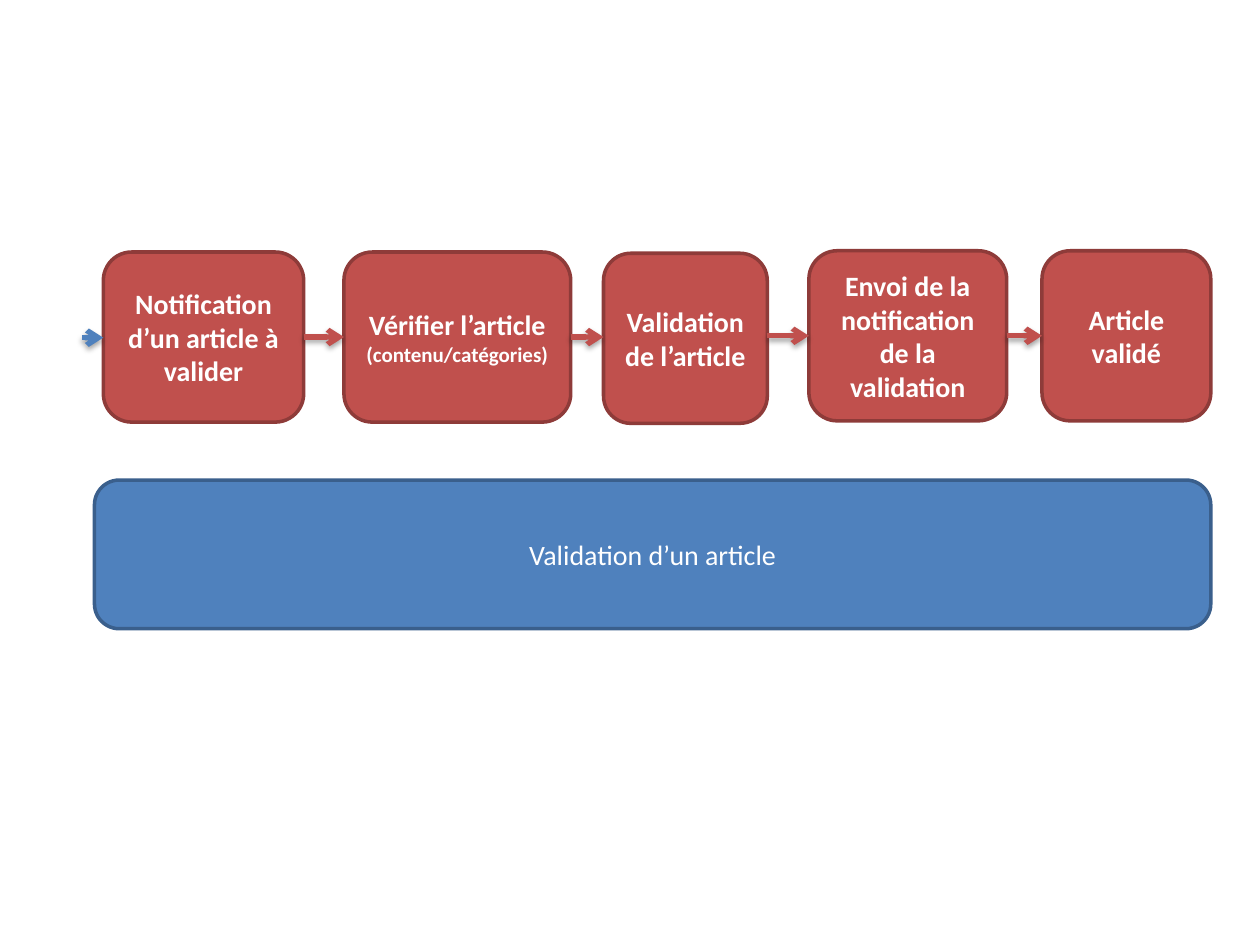
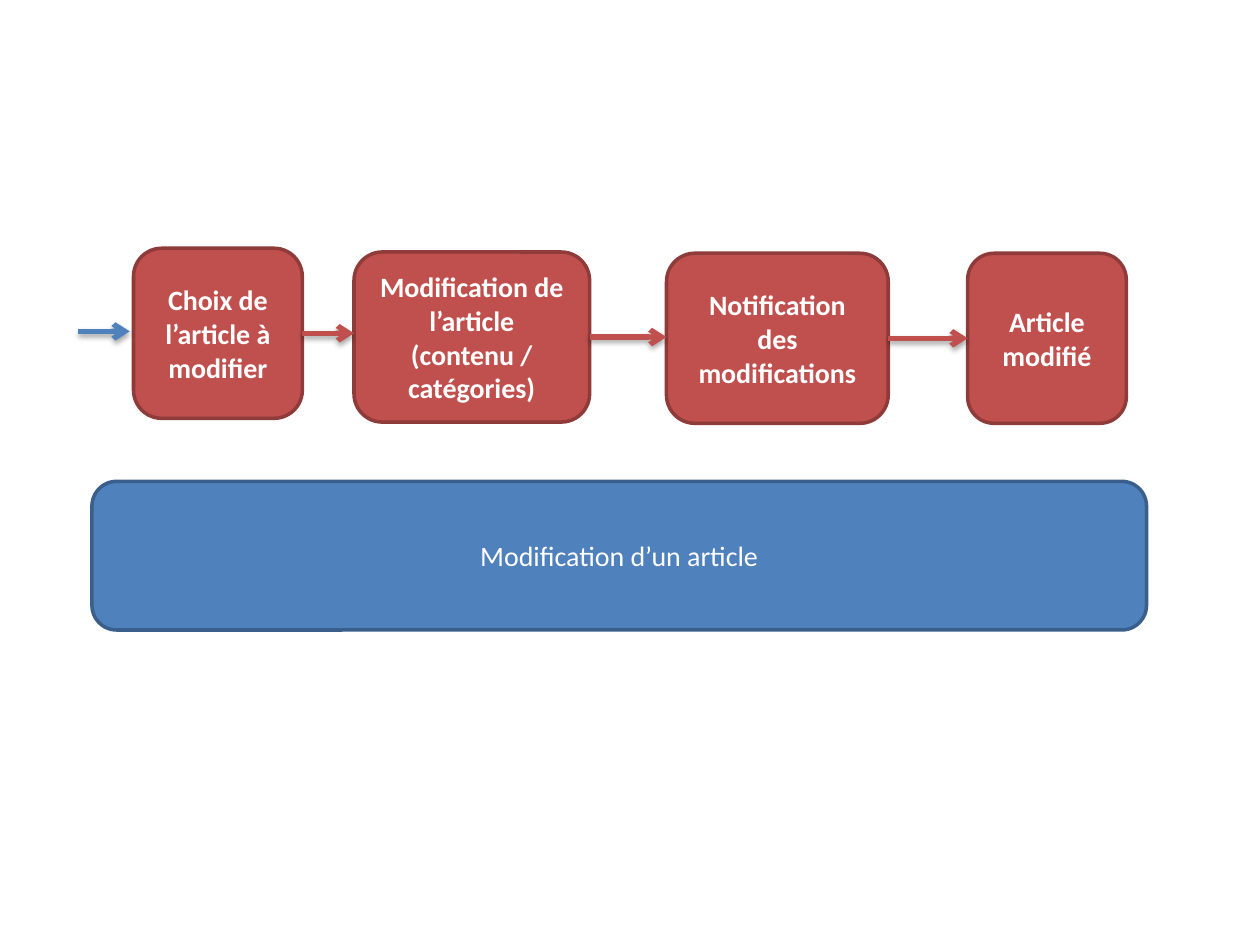
"""Build two process slides: validating and modifying an article."""
from dataclasses import dataclass

from lxml.etree import SubElement
from pptx import Presentation
from pptx.dml.color import RGBColor
from pptx.enum.shapes import MSO_CONNECTOR, MSO_SHAPE
from pptx.enum.text import MSO_ANCHOR, PP_ALIGN
from pptx.oxml.ns import qn
from pptx.slide import Slide
from pptx.util import Inches, Length, Pt

WIDE, HIGH = 10, 7.5
COLS, ROWS = 100, 75
FONT = "Calibri"
WHITE = "FFFFFF"
RED, WINE = "C0504D", "8E3B39"
BLUE, NAVY = "4F81BD", "3A5F8C"
STEP_ROWS, BAND_ROWS = 13.5, 11.8


@dataclass(frozen=True)
class Line:
    text: str
    size: int = 16


@dataclass(frozen=True)
class Box:
    left: float
    top: float
    width: float
    lines: tuple[Line, ...]

    @property
    def right(self) -> float:
        return self.left + self.width

    @property
    def mid(self) -> float:
        return self.top + STEP_ROWS / 2


@dataclass(frozen=True)
class Entry:
    start: float
    end: float
    row: float


@dataclass(frozen=True)
class Flow:
    entry: Entry
    steps: tuple[Box, ...]
    band: Box


FLOWS = (
    Flow(
        Entry(6.5, 8.2, 26.8),
        (
            Box(8.2, 20, 15.9, (Line("Notification d’un article à valider"),)),
            Box(27.3, 20, 18, (Line("Vérifier l’article"), Line("(contenu/catégories)", 12))),
            Box(47.9, 20.1, 13, (Line("Validation de l’article"),)),
            Box(64.2, 19.9, 15.7, (Line("Envoi de la notification de la validation"),)),
            Box(82.7, 19.9, 13.4, (Line("Article validé"),)),
        ),
        Box(7.5, 38.1, 88.6, (Line("Validation d’un article"),)),
    ),
    Flow(
        Entry(6.2, 10.3, 26.3),
        (
            Box(10.6, 19.7, 13.4, (Line("Choix de l’article à modifier"),)),
            Box(28.1, 20, 18.7, (Line("Modification de l’article"), Line("(contenu / catégories)"))),
            Box(52.9, 20.1, 17.6, (Line("Notification des modifications"),)),
            Box(76.8, 20.1, 12.6, (Line("Article modifié"),)),
        ),
        Box(7.3, 38.2, 83.7, (Line("Modification d’un article"),)),
    ),
)


def tint(code: str) -> RGBColor:
    return RGBColor.from_string(code)


def col(count: float) -> Length:
    return Inches(count * WIDE / COLS)


def row(count: float) -> Length:
    return Inches(count * HIGH / ROWS)


def draw_box(slide: Slide, box: Box, rows: float, fill: str, edge: str, bold: bool) -> None:
    shape = slide.shapes.add_shape(
        MSO_SHAPE.FLOWCHART_ALTERNATE_PROCESS,
        col(box.left), row(box.top), col(box.width), row(rows),
    )
    shape.shadow.inherit = False
    shape.fill.solid()
    shape.fill.fore_color.rgb = tint(fill)
    shape.line.color.rgb = tint(edge)
    shape.line.width = Pt(2)
    frame = shape.text_frame
    frame.word_wrap = True
    frame.vertical_anchor = MSO_ANCHOR.MIDDLE
    for spot, line in enumerate(box.lines):
        para = frame.add_paragraph() if spot else frame.paragraphs[0]
        para.text = line.text
        para.alignment = PP_ALIGN.CENTER
        para.font.name = FONT
        para.font.size = Pt(line.size)
        para.font.bold = bold
        para.font.color.rgb = tint(WHITE)


def draw_arrow(slide: Slide, start: float, end: float, level: float, color: str) -> None:
    link = slide.shapes.add_connector(
        MSO_CONNECTOR.STRAIGHT, col(start), row(level), col(end), row(level)
    )
    link.line.color.rgb = tint(color)
    link.line.width = Pt(3)
    SubElement(link.line._get_or_add_ln(), qn("a:tailEnd"), type="arrow")
    effects = SubElement(link._element.spPr, qn("a:effectLst"))
    shade = SubElement(
        effects, qn("a:outerShdw"),
        blurRad=str(Pt(3.1)), dist=str(Pt(1.8)), dir="5400000", rotWithShape="0",
    )
    black = SubElement(shade, qn("a:srgbClr"), val="000000")
    SubElement(black, qn("a:alpha"), val="35000")


def draw_flow(slide: Slide, flow: Flow) -> None:
    draw_box(slide, flow.band, BAND_ROWS, BLUE, NAVY, False)
    for step in flow.steps:
        draw_box(slide, step, STEP_ROWS, RED, WINE, True)
    entry = flow.entry
    draw_arrow(slide, entry.start, entry.end, entry.row, BLUE)
    for step, after in zip(flow.steps, flow.steps[1:]):
        draw_arrow(slide, step.right, after.left, min(step.mid, after.mid), RED)


def main() -> None:
    deck = Presentation()
    deck.slide_width, deck.slide_height = Inches(WIDE), Inches(HIGH)
    for flow in FLOWS:
        draw_flow(deck.slides.add_slide(deck.slide_layouts[6]), flow)
    deck.save("out.pptx")


if __name__ == "__main__":
    main()
